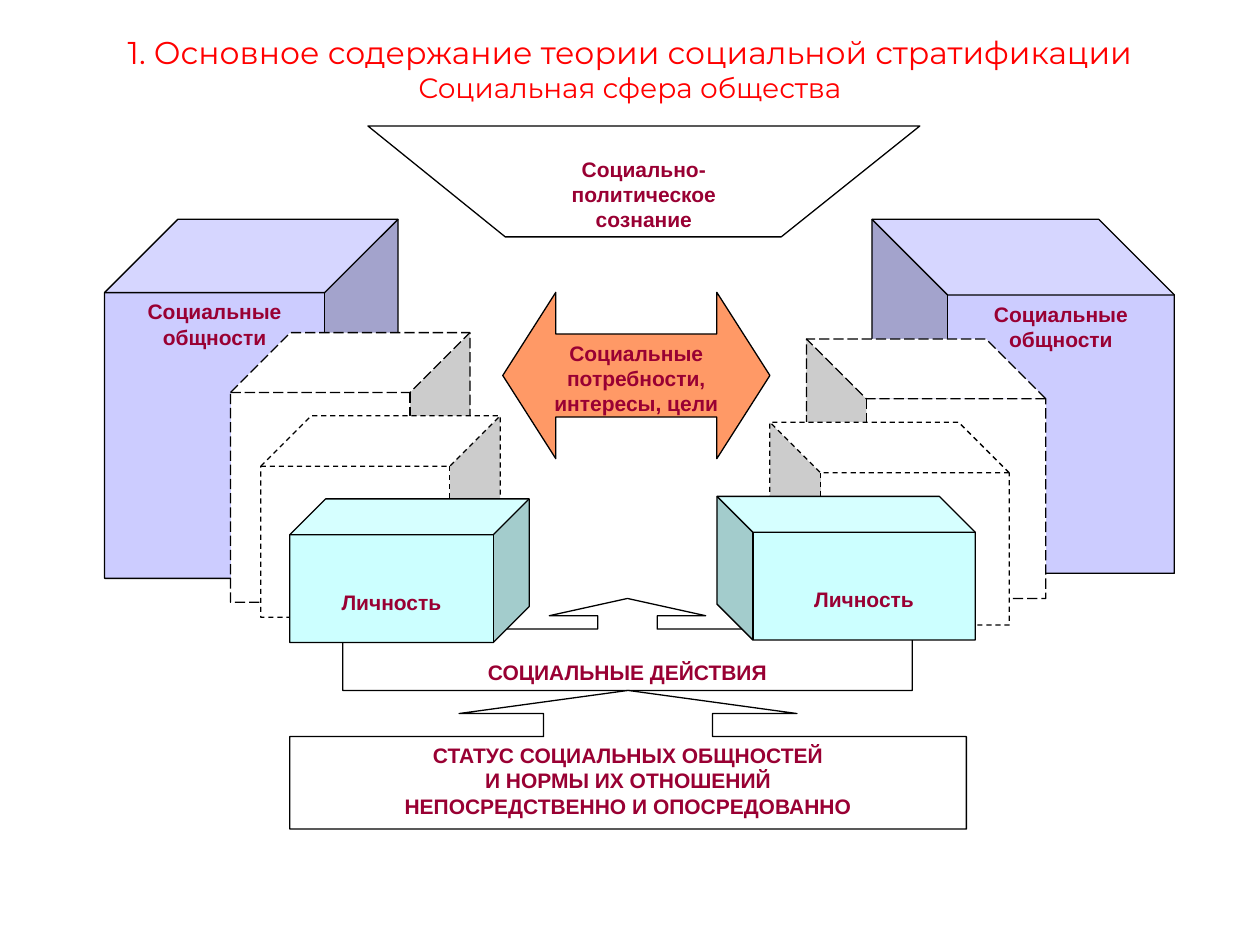
import pptx
import pptx.util
import pptx.dml.color
import pptx.enum.dml
import pptx.enum.shapes
import pptx.enum.text

Pt = pptx.util.Pt
Kind = pptx.enum.shapes.MSO_SHAPE
Dash = pptx.enum.dml.MSO_LINE
Anchor = pptx.enum.text.MSO_ANCHOR

HEAD = [("1. Основное содержание теории социальной стратификации", 18),
        ("Социальная сфера общества", 16)]
MIND = ["Социально-", "политическое", "сознание"]
GROUP = ["Социальные общности"]
SELF = ["Личность"]
NEEDS = ["Социальные", "потребности, интересы, цели"]
ACTS = ["СОЦИАЛЬНЫЕ ДЕЙСТВИЯ"]
NORMS = ["СТАТУС СОЦИАЛЬНЫХ ОБЩНОСТЕЙ", "И НОРМЫ ИХ ОТНОШЕНИЙ",
         "НЕПОСРЕДСТВЕННО И ОПОСРЕДОВАННО"]

LILAC, AQUA, WHITE, PEACH = "CCCCFF", "CCFFFF", "FFFFFF", "FF9966"
INK, WINE, RED = "000000", "990033", "FF0000"
ROW = 13.8
FUNNEL = [(210.24, 72), (288.72, 135.36), (446.4, 135.36), (525.6, 72)]

CUBES_LOW = [
    ((59.76, 125.28, 167.76, 205.2), LILAC, None, GROUP, 0, False),
    ((131.76, 190.08, 136.8, 154.08), WHITE, Dash.LONG_DASH, [], 0, False),
    ((149.04, 237.6, 136.8, 115.2), WHITE, Dash.DASH, [], 0, False),
    ((498.24, 125.28, 172.8, 202.32), LILAC, None, GROUP, 0, True),
    ((165.6, 285.12, 136.8, 82.08), AQUA, None, SELF, 2, False),
    ((460.8, 193.68, 136.8, 148.32), WHITE, Dash.LONG_DASH, [], 0, True),
    ((439.92, 241.2, 136.8, 115.92), WHITE, Dash.DASH, [], 0, True),
    ((409.68, 283.68, 147.6, 82.08), AQUA, None, SELF, 2, True),
]


def tint(code):
    return pptx.dml.color.RGBColor.from_string(code)


def write(shape, lines, size=12, font="Arial", color=WINE, bold=True,
          drop=0, anchor=Anchor.TOP):
    frame = shape.text_frame
    frame.word_wrap = True
    frame.vertical_anchor = anchor
    frame.margin_left = frame.margin_right = Pt(7.2)
    frame.margin_top, frame.margin_bottom = Pt(3.6 + drop), Pt(3.6)
    for i, line in enumerate(lines):
        text, pts = line if isinstance(line, tuple) else (line, size)
        para = frame.paragraphs[0] if i == 0 else frame.add_paragraph()
        para.alignment = pptx.enum.text.PP_ALIGN.CENTER
        run = para.add_run()
        run.text = text
        run.font.size = Pt(pts)
        run.font.name = font
        run.font.bold = bold
        run.font.color.rgb = tint(color)


def paint(shape, fill, dash=None):
    shape.shadow.inherit = False
    shape.fill.solid()
    shape.fill.fore_color.rgb = tint(fill)
    shape.line.color.rgb = tint(INK)
    shape.line.width = Pt(0.75)
    if dash is not None:
        shape.line.dash_style = dash


def draw(shapes, kind, box, fill, lines, adjust, dash=None, skip=0):
    shape = shapes.add_shape(kind, *map(Pt, box))
    for i, value in enumerate(adjust):
        shape.adjustments[i] = value
    paint(shape, fill, dash)
    if lines:
        write(shape, lines, drop=skip * ROW)
    return shape


def main():
    deck = pptx.Presentation()
    deck.slide_width, deck.slide_height = Pt(720), Pt(540)
    shapes = deck.slides.add_slide(deck.slide_layouts[6]).shapes

    title = shapes.add_textbox(*map(Pt, (36, 23, 648, 32.4)))
    write(title, HEAD, font="Montserrat", color=RED, bold=False,
          anchor=Anchor.MIDDLE)

    pen = shapes.build_freeform(*map(Pt, FUNNEL[0]), scale=1.0)
    pen.add_line_segments([(Pt(x), Pt(y)) for x, y in FUNNEL[1:]], close=True)
    funnel = pen.convert_to_shape()
    paint(funnel, WHITE)
    write(funnel, MIND, drop=ROW)

    draw(shapes, Kind.UP_ARROW_CALLOUT, (195.84, 342, 325.44, 52.56), WHITE,
         ACTS, (0.646, 0.85, 0.188, 0.667), skip=1)
    for box, fill, dash, lines, skip, turn in CUBES_LOW:
        cube = draw(shapes, Kind.CUBE, box, fill, lines, (0.25,), dash, skip)
        if turn:
            cube.rotation = 180
            cube._element.spPr.xfrm.set("flipV", "1")
    draw(shapes, Kind.UP_ARROW_CALLOUT, (165.6, 394.56, 386.64, 79.2), WHITE,
         NORMS, (1.219, 1.219, 0.167, 0.667))
    draw(shapes, Kind.LEFT_RIGHT_ARROW, (287.28, 167.04, 152.64, 95.04), PEACH,
         NEEDS, (0.5, 0.319))

    deck.save("out.pptx")


if __name__ == "__main__":
    main()
